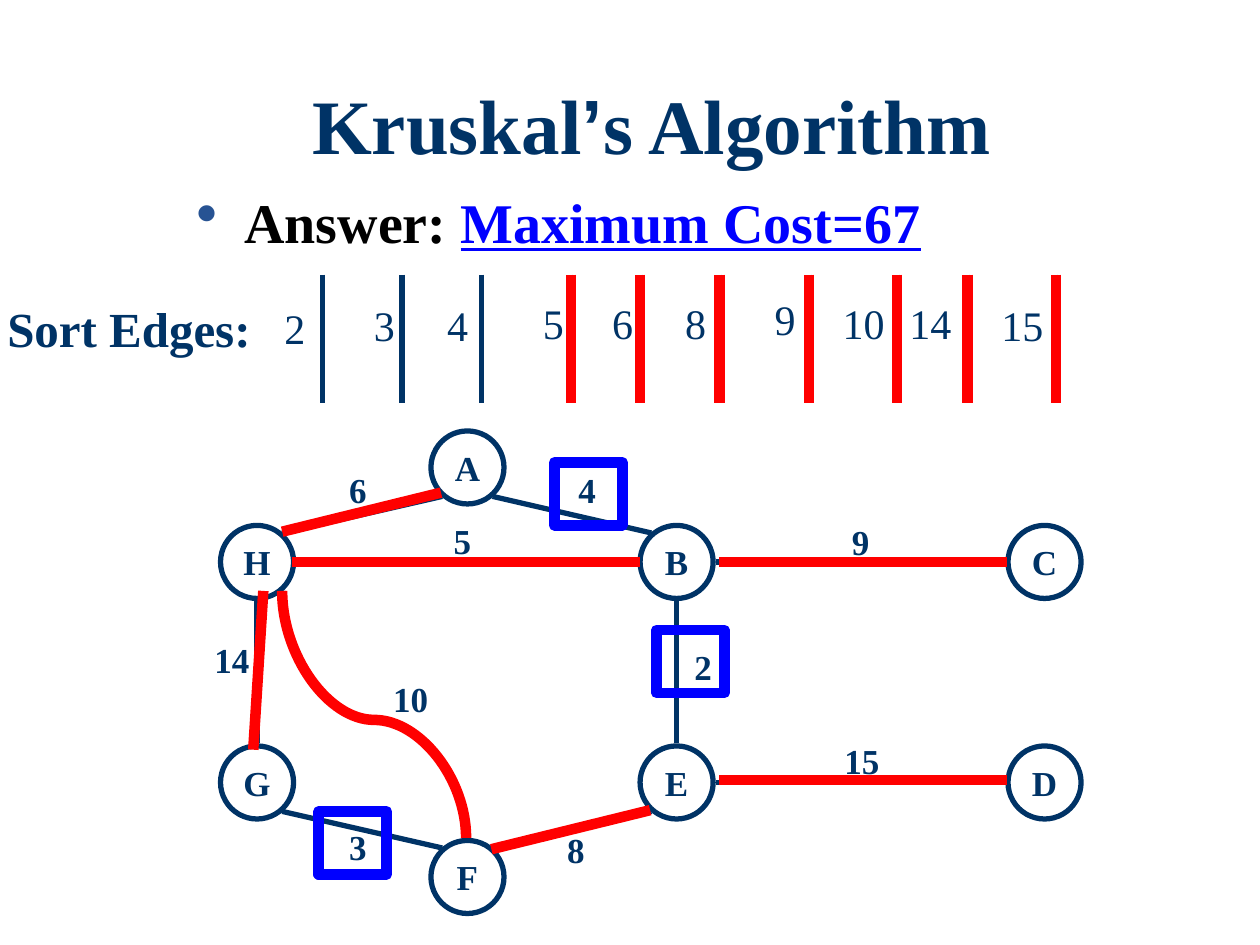
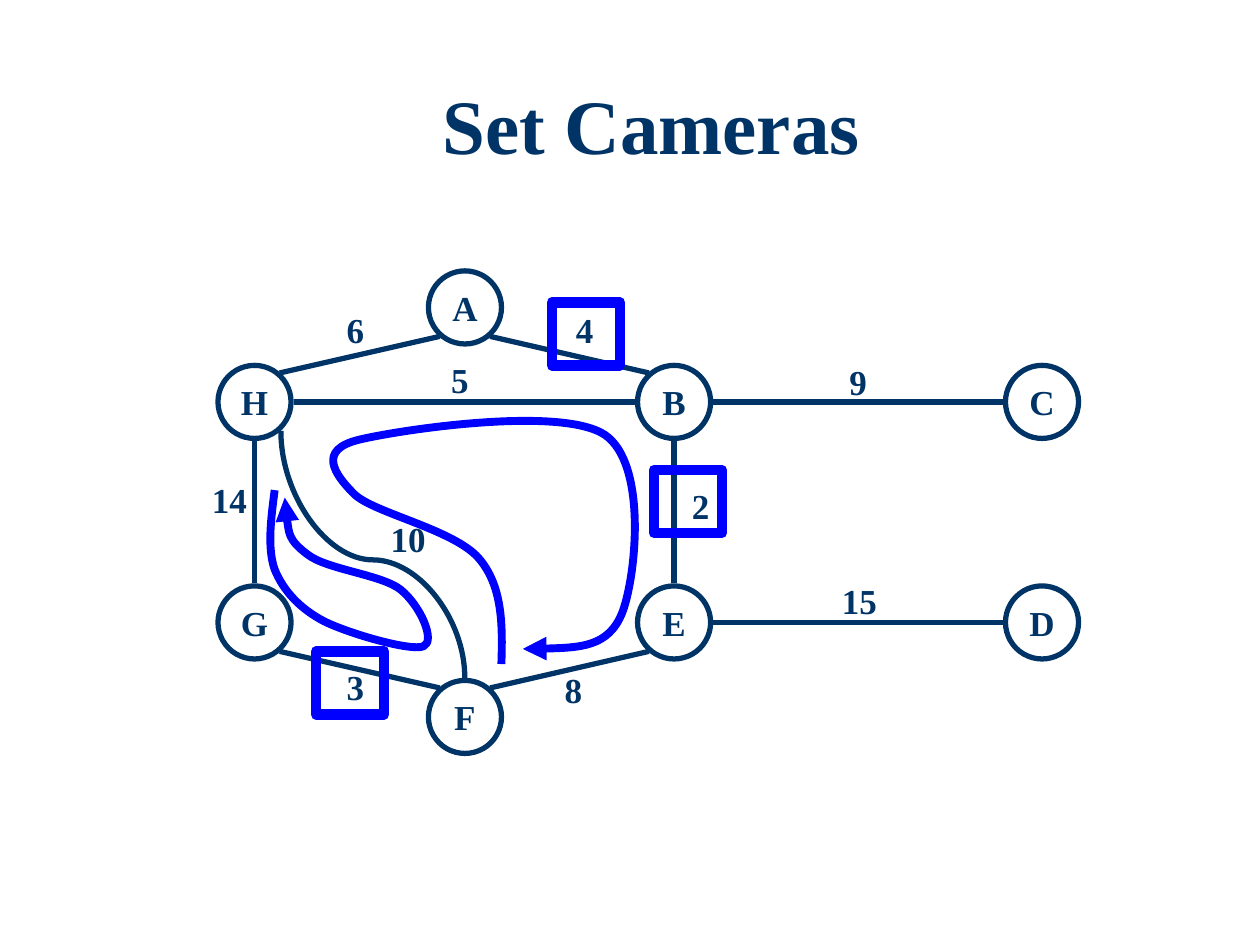
from lxml import etree
from pptx import Presentation
from pptx.dml.color import RGBColor as Rgb
from pptx.enum.shapes import MSO_CONNECTOR as Link, MSO_SHAPE as Kind
from pptx.enum.text import MSO_ANCHOR as Anchor, MSO_AUTO_SIZE as Fit, PP_ALIGN as Align
from pptx.oxml.ns import qn
from pptx.util import Inches, Pt

INK = {"navy": "003366", "red": "FF0000", "blue": "0000FF",
       "black": "000000", "white": "FFFFFF", "bullet": "275393"}
FONT = "Times New Roman"

# Node centres; the whole graph can be shifted on a slide.
NODES = {"H": (2.04, 4.46), "B": (5.37, 4.46), "C": (8.29, 4.46), "G": (2.04, 6.21),
         "E": (5.37, 6.21), "D": (8.29, 6.21), "F": (3.71, 6.96), "A": (3.71, 3.71)}
EDGES = ["AB", "AH", "HB", "GH", "GF", "FE", "EB", "BC", "ED"]
COSTS = {"14": (1.6, 5.02), "10": (3.02, 5.33), "3": (2.67, 6.5), "6": (2.67, 3.67),
         "4": (4.49, 3.67), "5": (3.5, 4.07), "2": (5.41, 5.07), "9": (6.66, 4.08),
         "15": (6.6, 5.82), "8": (4.4, 6.53)}
MARKS = [(4.4, 3.67), (2.53, 6.44), (5.21, 5)]
GAP = 0.31            # centre to the end of a straight edge
SLANT = (0.2, 0.23)   # centre to the end of a slanted edge

# Cost, left and top of its number, place of the bar after it
SORTED = [("2", 2.16, 2.35, 2.56), ("3", 2.87, 2.33, 3.19), ("4", 3.45, 2.33, 3.82),
          ("5", 4.21, 2.31, 4.53), ("6", 4.76, 2.31, 5.08), ("8", 5.34, 2.31, 5.71),
          ("9", 6.05, 2.28, 6.42), ("10", 6.59, 2.31, 7.12), ("14", 7.12, 2.31, 7.68),
          ("15", 7.85, 2.33, 8.38)]
BAR = (2.18, 3.2)
KEPT = [((2.32, 4.46), (5.08, 4.46)), ((2.24, 4.22), (3.5, 3.91)),
        ((3.9, 6.74), (5.16, 6.43)), ((5.71, 4.46), (7.99, 4.46)),
        ((2.01, 5.95), (2.09, 4.69)), ((5.71, 6.19), (7.99, 6.19))]

# Camera routes: start, then two handles and an end for each bend
ROUTES = [
    ((3.98, 5.27), [
        ((3.99, 4.96), (3.99, 4.65), (3.8, 4.43)),
        ((3.6, 4.2), (2.96, 4.07), (2.81, 3.92)),
        ((2.65, 3.76), (2.52, 3.57), (2.85, 3.49)),
        ((3.18, 3.41), (4.45, 3.22), (4.8, 3.45)),
        ((5.14, 3.68), (5.05, 4.57), (4.94, 4.86)),
        ((4.83, 5.14), (4.49, 5.15), (4.15, 5.15))]),
    ((2.18, 3.89), [
        ((2.15, 4.12), (2.12, 4.35), (2.18, 4.52)),
        ((2.25, 4.69), (2.38, 4.83), (2.57, 4.93)),
        ((2.77, 5.03), (3.26, 5.17), (3.36, 5.13)),
        ((3.46, 5.09), (3.34, 4.81), (3.18, 4.68)),
        ((3.03, 4.56), (2.59, 4.52), (2.44, 4.4)),
        ((2.28, 4.28), (2.27, 4.11), (2.26, 3.95))]),
]


def lengths(*nums):
    return [Inches(n) for n in nums]


def sign(n):
    return (n > 0) - (n < 0)


def rim(here, there):
    """Where an edge from one centre to another leaves the first node."""
    dx, dy = sign(there[0] - here[0]), sign(there[1] - here[1])
    if here[0] == there[0] or here[1] == there[1]:
        return here[0] + dx * GAP, here[1] + dy * GAP
    return here[0] + dx * SLANT[0], here[1] + dy * SLANT[1]


class Deck:
    def __init__(self):
        self.prs = Presentation()
        self.prs.slide_width, self.prs.slide_height = lengths(10, 7.5)

    def start(self, *title):
        """Open a slide with its title, given as (text, font) runs."""
        self.slide = self.prs.slides.add_slide(self.prs.slide_layouts[6])
        self.shapes = self.slide.shapes
        frame = self.box(1.17, 0.6, 8, 0.92)
        frame.vertical_anchor = Anchor.MIDDLE
        frame.margin_bottom = Inches(0.12)
        para = frame.paragraphs[0]
        para.alignment, para.line_spacing = Align.CENTER, 0.9
        for words, font in title:
            self.run(para, words, 44, font=font)

    def run(self, para, words, size, ink="navy", bold=True, font=FONT):
        run = para.add_run()
        run.text = words
        run.font.size, run.font.bold, run.font.name = Pt(size), bold, font
        run.font.color.rgb = Rgb.from_string(INK[ink])
        return run

    def box(self, x, y, w, h):
        frame = self.shapes.add_textbox(*lengths(x, y, w, h)).text_frame
        frame.word_wrap = True
        return frame

    def label(self, words, x, y, w, h, size, bold, align):
        frame = self.box(x, y, w, h)
        frame.word_wrap, frame.auto_size = False, Fit.SHAPE_TO_FIT_TEXT
        frame.paragraphs[0].alignment = align
        self.run(frame.paragraphs[0], words, size, bold=bold)

    def bullet(self, para):
        props = para._p.get_or_add_pPr()
        props.set("marL", str(Inches(0.38)))
        props.set("indent", str(-Inches(0.38)))
        color = etree.SubElement(props, qn("a:buClr"))
        etree.SubElement(color, qn("a:srgbClr"), val=INK["bullet"])
        etree.SubElement(props, qn("a:buSzPct"), val="110000")
        etree.SubElement(props, qn("a:buChar"), char="•")

    def pen(self, shape, ink, width):
        shape.line.color.rgb = Rgb.from_string(INK[ink])
        shape.line.width = Pt(width)

    def shape(self, kind, x, y, w, h, ink=None, width=0, fill=None):
        shape = self.shapes.add_shape(kind, *lengths(x, y, w, h))
        shape.shadow.inherit = False
        if fill:
            shape.fill.solid()
            shape.fill.fore_color.rgb = Rgb.from_string(INK[fill])
        else:
            shape.fill.background()
        if ink:
            self.pen(shape, ink, width)
        else:
            shape.line.fill.background()
        return shape

    def line(self, start, end, ink="navy", width=3, kind=Link.STRAIGHT):
        line = self.shapes.add_connector(kind, *lengths(*start, *end))
        self.pen(line, ink, width)
        etree.SubElement(line._element.spPr, qn("a:effectLst"))
        return line

    def curve(self, start, end, ink="navy", width=3):
        """S-curve that leaves upwards: a sideways one turned by 90 degrees."""
        (x1, y1), (x2, y2) = start, end
        mx, my = (x1 + x2) / 2, (y1 + y2) / 2
        rx, ry = (y1 - y2) / 2, (x1 - x2) / 2
        line = self.line((mx + rx, my - ry), (mx - rx, my + ry), ink, width, Link.CURVE)
        props = line._element.spPr
        props.find(qn("a:xfrm")).set("rot", "5400000")
        guides = props.find(qn("a:prstGeom")).find(qn("a:avLst"))
        etree.SubElement(guides, qn("a:gd"), name="adj1", fmla="val 47800")

    def node(self, name, x, y):
        shape = self.shape(Kind.OVAL, x - 0.29, y - 0.29, 0.58, 0.58, "navy", 3)
        frame = shape.text_frame
        frame.word_wrap, frame.vertical_anchor = False, Anchor.MIDDLE
        frame.paragraphs[0].alignment = Align.CENTER
        self.run(frame.paragraphs[0], name, 20)

    def route(self, start, bends):
        """Smooth arrow through the ends of the bends."""
        maker = self.shapes.build_freeform(*lengths(*start))
        maker.add_line_segments([lengths(*bend[2]) for bend in bends], close=False)
        shape = maker.convert_to_shape()
        shape.shadow.inherit = False
        shape.fill.background()
        self.pen(shape, "blue", 4.5)
        for step, bend in zip(list(shape._element.iter(qn("a:lnTo"))), bends):
            step.tag
            cubic = etree.Element(qn("a:cubicBezTo"))
            for x, y in bend:
                etree.SubElement(cubic, qn("a:pt"), x=str(Inches(x) - shape.left),
                                 y=str(Inches(y) - shape.top))
            step.getparent().replace(step, cubic)
        etree.SubElement(shape.line._get_or_add_ln(), qn("a:tailEnd"), type="triangle")

    def graph(self, dx=0, dy=0):
        spots = {name: (x + dx, y + dy) for name, (x, y) in NODES.items()}
        for name, spot in spots.items():
            self.node(name, *spot)
        for a, b in EDGES:
            self.line(rim(spots[a], spots[b]), rim(spots[b], spots[a]))
        (fx, fy), (hx, hy) = spots["F"], spots["H"]
        self.curve((fx, fy - GAP), (hx + 0.21, hy + 0.23))
        for cost, (x, y) in COSTS.items():
            wide = 0.2 + 0.14 * len(cost)
            self.label(cost, x + dx, y + dy, wide, 0.43, 20, True, Align.CENTER)
        for x, y in MARKS:
            self.shape(Kind.RECTANGLE, x + dx, y + dy, 0.54, 0.5, "blue", 6)

    def queue(self):
        """Sorted costs, each followed by a bar; red from cost 5 up."""
        for cost, x, y, bar in SORTED:
            ends = (bar, BAR[0]), (bar, BAR[1])
            self.line(*ends)
            wide = 0.21 + 0.16 * len(cost)
            self.label(cost, x, y, wide, 0.5, 24, False, Align.LEFT)
            if int(cost) >= 5:
                self.line(*ends, "red", 6)
        frame = self.shape(Kind.RECTANGLE, -0.04, 2.32, 2.14, 0.57, fill="white").text_frame
        frame.word_wrap, frame.auto_size = False, Fit.SHAPE_TO_FIT_TEXT
        frame.paragraphs[0].alignment = Align.LEFT
        self.run(frame.paragraphs[0], "Sort Edges:", 28)


def main():
    deck = Deck()

    deck.start(("Kruskal", FONT), ("’", "Arial"), ("s Algorithm", FONT))
    frame = deck.box(1.46, 1.39, 8, 4.58)
    frame.margin_top = Inches(0.1)
    answer = frame.paragraphs[0]
    deck.bullet(answer)
    deck.run(answer, "Answer: ", 32, "black")
    deck.run(answer, "Maximum Cost=67", 32, "blue").font.underline = True
    deck.graph()
    deck.queue()
    for start, end in KEPT:
        deck.line(start, end, "red", 6)
    deck.curve((3.7, 6.65), (2.24, 4.69), "red", 6)

    deck.start(("Set Cameras", FONT))
    deck.graph(-0.02, -1.27)
    for start, bends in ROUTES:
        deck.route(start, bends)

    deck.prs.save("out.pptx")


if __name__ == "__main__":
    main()
